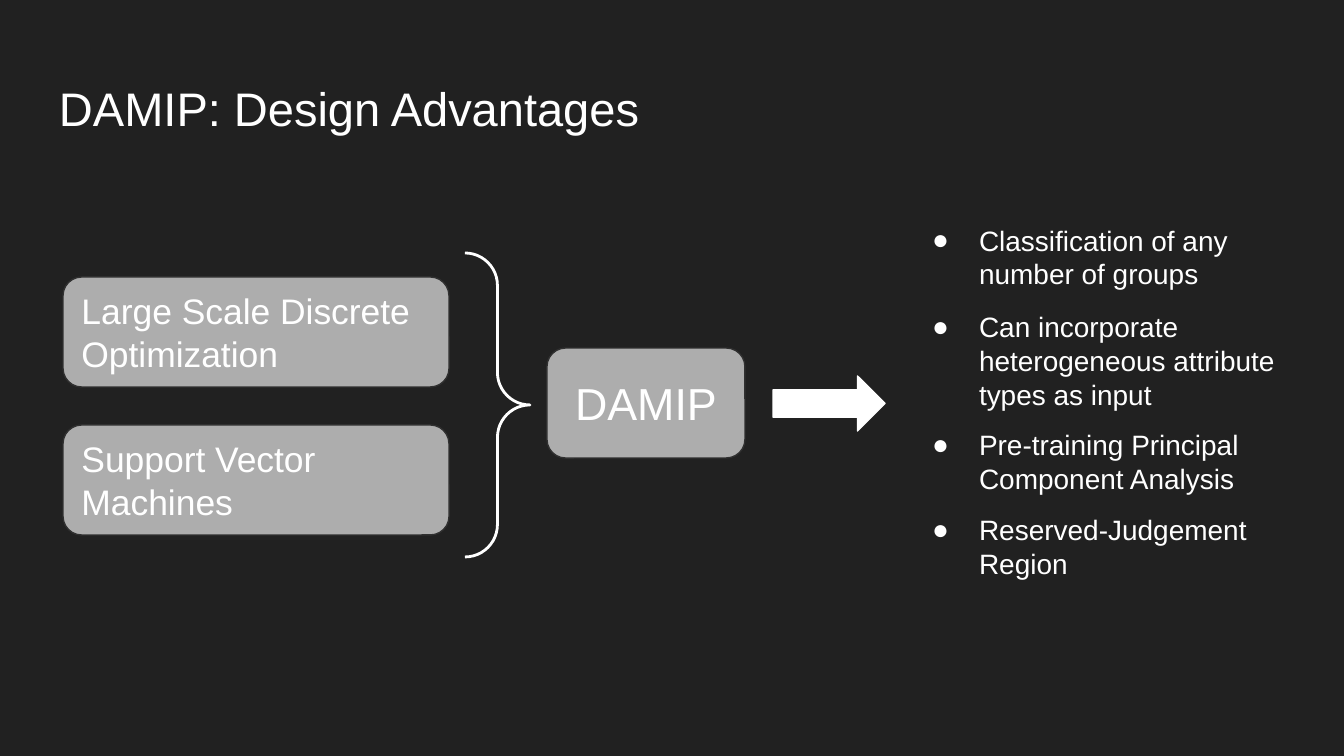
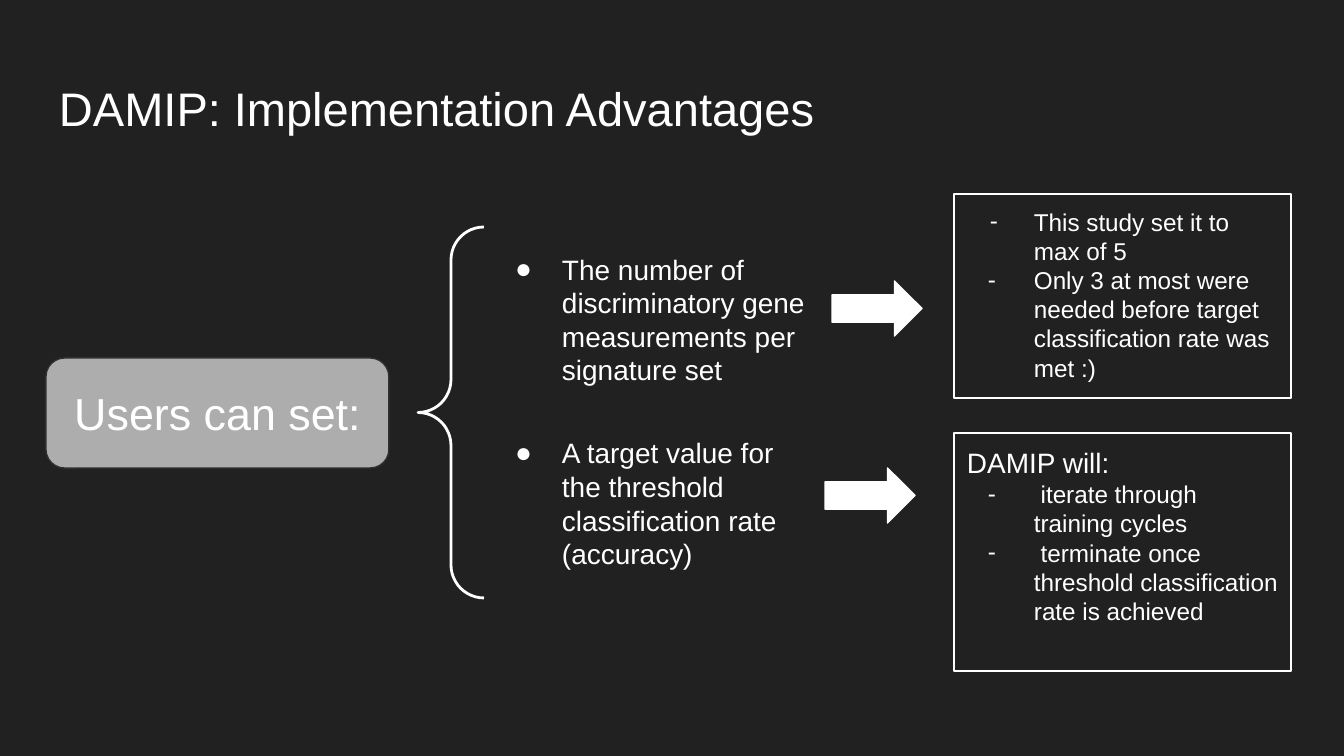
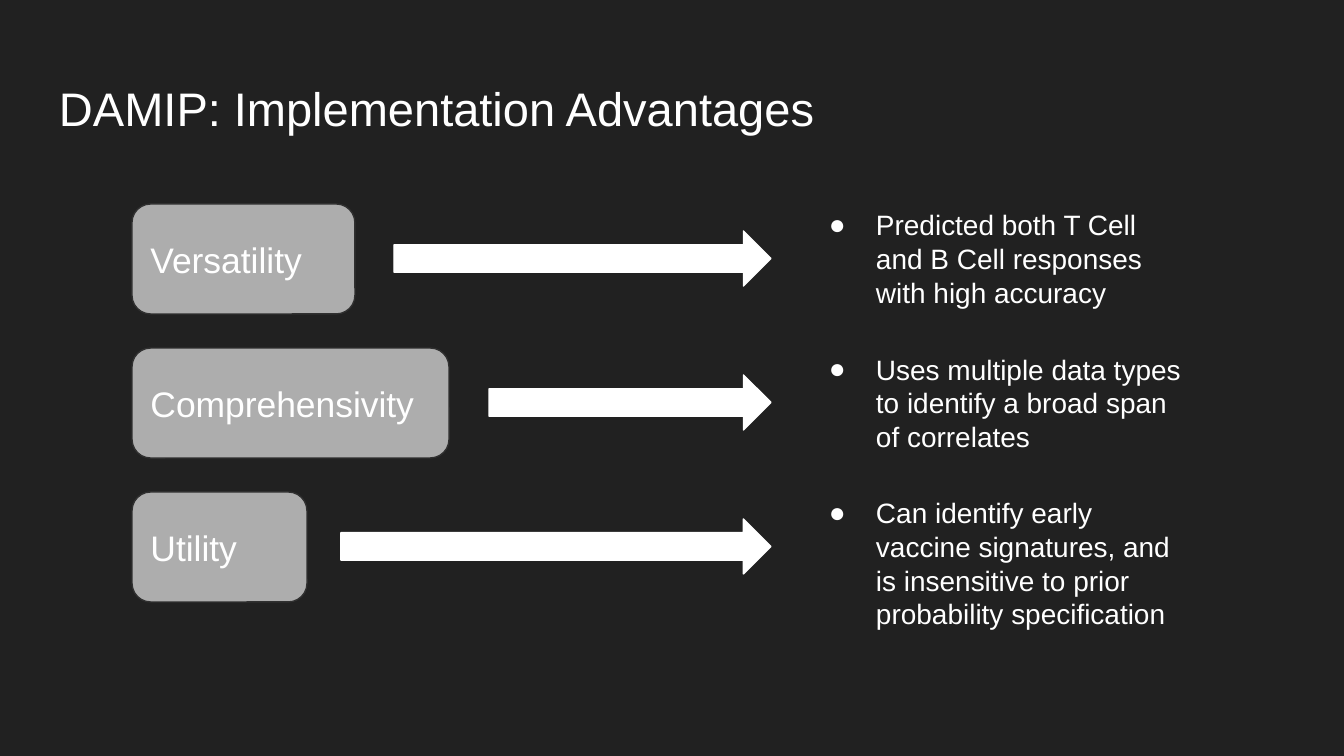
from dataclasses import dataclass

from lxml.etree import SubElement
from pptx import Presentation
from pptx.dml.color import RGBColor
from pptx.enum.shapes import MSO_SHAPE as Preset
from pptx.enum.text import MSO_ANCHOR as Anchor
from pptx.enum.text import MSO_AUTO_SIZE as AutoSize
from pptx.enum.text import PP_ALIGN as Align
from pptx.oxml.ns import qn
from pptx.util import Emu, Pt

# Scale, colours and shared sizes
SLIDE_W, SLIDE_H = 1344, 756
EMU_PER_PX = 9144000 / SLIDE_W
FONT = "Arial"
NIGHT = RGBColor(0x21, 0x21, 0x21)
GREY = RGBColor(0xAD, 0xAD, 0xAD)
EDGE = RGBColor(0x30, 0x30, 0x30)
WHITE = RGBColor(0xFF, 0xFF, 0xFF)
COMPARISON_LAYOUT = 4  # a title and four body placeholders
INSET = 13
CARD_H, ARROW_H = 110, 55
LIST_INDENT = 67
TITLE_SIZE, BIG, CARD_SIZE, LIST_SIZE, NOTE_SIZE = 25.2, 24, 19, 15, 13


@dataclass(frozen=True)
class Box:
    left: int
    top: int
    width: int
    height: int


@dataclass(frozen=True)
class Line:
    text: str
    size: float
    bullet: str = ""
    hang: int = 47
    align: Align = Align.LEFT


@dataclass(frozen=True)
class Point:
    text: str
    box: Box


@dataclass(frozen=True)
class Quality:
    name: str
    card_width: int
    arrow_left: int
    evidence: str
    evidence_height: int


TITLE_BOX = Box(46, 66, 1253, 85)


def px(length: int) -> Emu:
    return Emu(round(length * EMU_PER_PX))


def place(shape, box: Box) -> None:
    shape.left, shape.top = px(box.left), px(box.top)
    shape.width, shape.height = px(box.width), px(box.height)


def add_bullet(paragraph, line: Line) -> None:
    props = paragraph._p.get_or_add_pPr()
    props.set("marL", str(px(LIST_INDENT)))
    props.set("indent", str(-px(line.hang)))
    colour = SubElement(props, qn("a:buClr"))
    SubElement(colour, qn("a:srgbClr"), val=str(WHITE))
    SubElement(props, qn("a:buFont"), typeface=FONT)
    SubElement(props, qn("a:buChar"), char=line.bullet)


def write(shape, lines: list[Line], anchor: Anchor = Anchor.TOP,
          fit: AutoSize = AutoSize.NONE) -> None:
    frame = shape.text_frame
    frame.word_wrap = True
    frame.auto_size = fit
    frame.vertical_anchor = anchor
    frame.margin_left = frame.margin_right = px(INSET)
    frame.margin_top = frame.margin_bottom = px(INSET)
    for index, line in enumerate(lines):
        paragraph = frame.add_paragraph() if index else frame.paragraphs[0]
        paragraph.text = line.text
        paragraph.alignment = line.align
        paragraph.space_before = Pt(0)
        if line.bullet:
            add_bullet(paragraph, line)
        font = paragraph.font
        font.name, font.size, font.bold = FONT, Pt(line.size), False
        font.color.rgb = WHITE


def add_preset(slide, preset: Preset, box: Box, fill: RGBColor | None = None,
               edge: RGBColor = WHITE, weight: float = 0.75):
    shape = slide.shapes.add_shape(preset, *map(px, (box.left, box.top, box.width, box.height)))
    shape.shadow.inherit = False
    if fill is None:
        shape.fill.background()
    else:
        shape.fill.solid()
        shape.fill.fore_color.rgb = fill
    shape.line.color.rgb = edge
    shape.line.width = Pt(weight)
    return shape


def add_card(slide, text: str, left: int, top: int, width: int,
             size: float = CARD_SIZE, align: Align = Align.LEFT) -> None:
    card = add_preset(slide, Preset.ROUNDED_RECTANGLE, Box(left, top, width, CARD_H), GREY, EDGE)
    card.adjustments[0] = 0.17
    write(card, [Line(text, size, align=align)], Anchor.MIDDLE)


def add_brace(slide, box: Box, flipped: bool = False) -> None:
    brace = add_preset(slide, Preset.RIGHT_BRACE, box, weight=1.5)
    brace.adjustments[0] = brace.adjustments[1] = 0.5
    if flipped:
        brace._element.spPr.get_or_add_xfrm().set("flipH", "1")


def add_arrow(slide, left: int, top: int, width: int) -> None:
    add_preset(slide, Preset.RIGHT_ARROW, Box(left, top, width, ARROW_H), WHITE)


def add_note(slide, box: Box, lines: list[Line]) -> None:
    write(add_preset(slide, Preset.RECTANGLE, box), lines, fit=AutoSize.SHAPE_TO_FIT_TEXT)


def start_slide(prs, title: str, points: list[Point]):
    """Fill the title and one body placeholder per point; drop the rest."""
    slide = prs.slides.add_slide(prs.slide_layouts[COMPARISON_LAYOUT])
    heading, *bodies = slide.placeholders
    place(heading, TITLE_BOX)
    write(heading, [Line(title, TITLE_SIZE)])
    for body, point in zip(bodies, points):
        place(body, point.box)
        write(body, [Line(point.text, LIST_SIZE, "●")], fit=AutoSize.SHAPE_TO_FIT_TEXT)
    for unused in bodies[len(points):]:
        unused._element.getparent().remove(unused._element)
    return slide


def build_design(prs) -> None:
    advantages = [
        ("Classification of any number of groups", 210, 95),
        ("Can incorporate heterogeneous attribute types as input", 297, 129),
        ("Pre-training Principal Component Analysis", 415, 95),
        ("Reserved-Judgement Region", 500, 95),
    ]
    slide = start_slide(prs, "DAMIP: Design Advantages",
                        [Point(text, Box(899, top, 399, height))
                         for text, top, height in advantages])
    # Two foundations lead to the method
    for row, foundation in enumerate(["Large Scale Discrete Optimization",
                                      "Support Vector Machines"]):
        add_card(slide, foundation, 63, 277 + 148 * row, 386)
    add_brace(slide, Box(465, 253, 65, 304))
    add_card(slide, "DAMIP", 547, 348, 198, BIG, Align.CENTER)
    add_arrow(slide, 773, 376, 112)


def build_settings(prs) -> None:
    slide = start_slide(prs, "DAMIP: Implementation Advantages", [
        Point("The number of discriminatory gene measurements per signature set",
              Box(482, 239, 415, 163)),
        Point("A target value for the threshold classification rate (accuracy)",
              Box(482, 423, 343, 163)),
    ])
    add_card(slide, "Users can set:", 46, 358, 343, BIG, Align.CENTER)
    add_brace(slide, Box(418, 227, 66, 371), flipped=True)
    # What each setting led to
    add_arrow(slide, 832, 281, 90)
    add_note(slide, Box(954, 194, 337, 204), [
        Line("This study set it to max of 5", NOTE_SIZE, "-", 44),
        Line("Only 3 at most were needed before target classification rate was met :)",
             NOTE_SIZE, "-", 46),
    ])
    add_arrow(slide, 825, 468, 90)
    add_note(slide, Box(954, 433, 337, 238), [
        Line("DAMIP will:", LIST_SIZE),
        Line(" iterate through training cycles", NOTE_SIZE, "-", 46),
        Line(" terminate once threshold classification rate is achieved", NOTE_SIZE, "-", 46),
    ])


def build_qualities(prs) -> None:
    first_top, pitch, arrow_tip = 204, 144, 771
    qualities = [
        Quality("Versatility", 223, 394,
                "Predicted both T Cell and B Cell responses with high accuracy", 129),
        Quality("Comprehensivity", 317, 489,
                "Uses multiple data types to identify a broad span of correlates", 129),
        Quality("Utility", 175, 341,
                "Can identify early vaccine signatures, and is insensitive to prior "
                "probability specification", 163),
    ]
    tops = [first_top + pitch * row for row in range(len(qualities))]
    slide = start_slide(prs, "DAMIP: Implementation Advantages",
                        [Point(quality.evidence, Box(796, top - 9, 399, quality.evidence_height))
                         for quality, top in zip(qualities, tops)])
    for quality, top in zip(qualities, tops):
        add_card(slide, quality.name, 132, top, quality.card_width)
        add_arrow(slide, quality.arrow_left, top + (CARD_H - ARROW_H) // 2,
                  arrow_tip - quality.arrow_left)


def main() -> None:
    prs = Presentation()
    prs.slide_width, prs.slide_height = px(SLIDE_W), px(SLIDE_H)
    backdrop = prs.slide_master.background.fill
    backdrop.solid()
    backdrop.fore_color.rgb = NIGHT
    build_design(prs)
    build_settings(prs)
    build_qualities(prs)
    prs.save("out.pptx")


if __name__ == "__main__":
    main()
